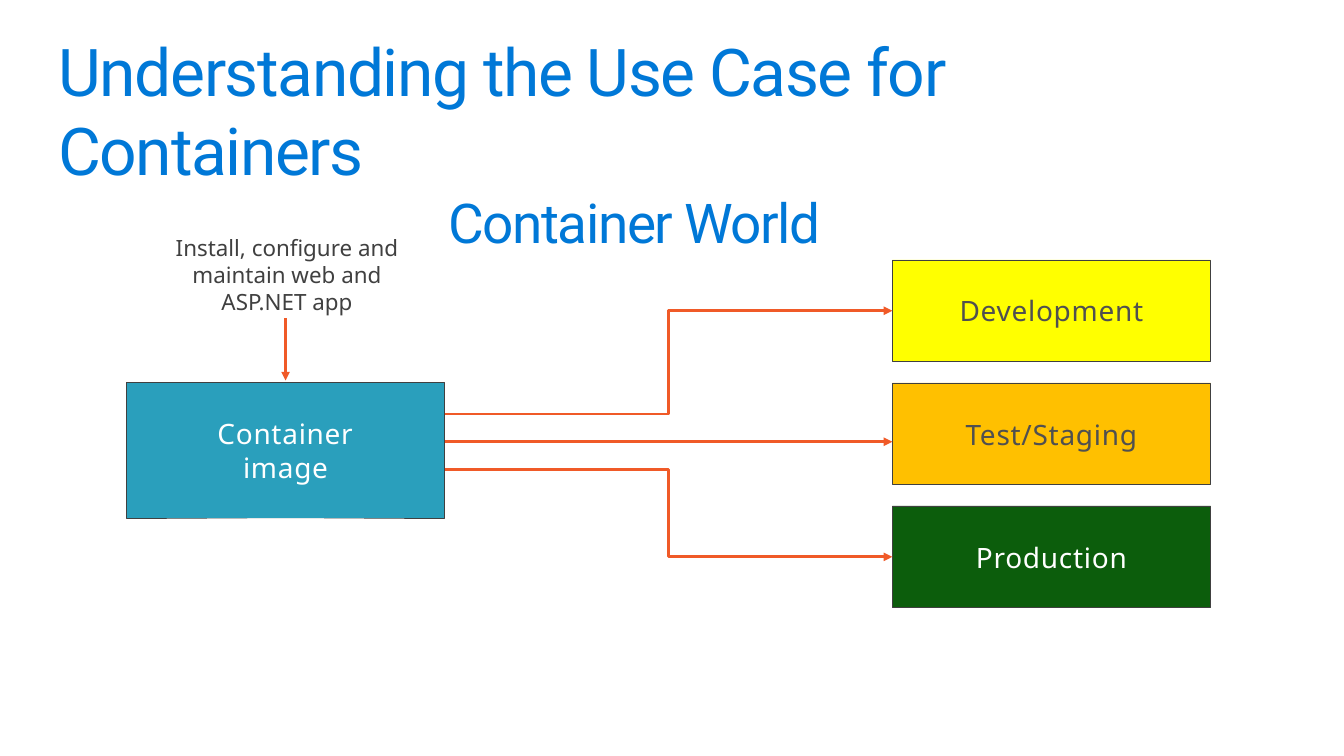
"""Build the container use case slide."""
from dataclasses import dataclass

from lxml.etree import SubElement
from pptx import Presentation
from pptx.dml.color import RGBColor
from pptx.enum.shapes import MSO_CONNECTOR as Connector, MSO_SHAPE as Shape
from pptx.enum.text import MSO_ANCHOR as Anchor, MSO_AUTO_SIZE as AutoSize, PP_ALIGN as Align
from pptx.oxml.ns import qn
from pptx.util import Inches, Pt


@dataclass(frozen=True)
class Theme:
    heading_font: str = "Roboto"
    body_font: str = "Noto Sans"
    heading: str = "0078D7"
    arrow: str = "F05A28"
    outline: str = "404040"
    dark: str = "505050"
    light: str = "FFFFFF"
    image_fill: str = "2A9FBC"
    title_size: float = 48
    subtitle_size: float = 40
    label_size: float = 20.4
    callout_size: float = 16.3


THEME = Theme()
TITLE = "Understanding the Use Case for Containers"
SUBTITLE = "Container World"
CALLOUT = "Install, configure and maintain web and ASP.NET app"
IMAGE_LABEL = "Container image"
ENVIRONMENTS = [
    ("Development", "FFFF00", THEME.dark),
    ("Test/Staging", "FFC000", THEME.dark),
    ("Production", "0C5D0C", THEME.light),
]

BOX_WIDTH = 3.22
IMAGE_LEFT, IMAGE_TOP, IMAGE_HEIGHT = 1.28, 3.87, 1.37
STAGE_LEFT, STAGE_TOP, STAGE_HEIGHT, STAGE_STEP = 9.03, 2.63, 1.03, 1.245
IMAGE_RIGHT = IMAGE_LEFT + BOX_WIDTH
ARROW_MIDDLE, ARROW_GAP = 4.47, 0.28


def write(frame, text, size, color, font=THEME.body_font, align=Align.CENTER,
          anchor=Anchor.MIDDLE, spacing=0, margin=0, append=False):
    """Write one formatted paragraph in a text frame."""
    frame.word_wrap = True
    frame.auto_size = AutoSize.NONE
    frame.vertical_anchor = anchor
    frame.margin_left = frame.margin_right = Inches(margin)
    frame.margin_top = frame.margin_bottom = 0
    paragraph = frame.add_paragraph() if append else frame.paragraphs[0]
    paragraph.alignment = align
    paragraph.space_before = Pt(0)
    run = paragraph.add_run()
    run.text = text
    run.font.name = font
    run.font.size = Pt(size)
    run.font.color.rgb = RGBColor.from_string(color)
    run.font._element.set("spc", str(round(spacing * 100)))


def add_box(slide, text, left, top, height, fill, color, margin=0):
    """Add an outlined box with a centred label."""
    shape = slide.shapes.add_shape(
        Shape.RECTANGLE, Inches(left), Inches(top), Inches(BOX_WIDTH), Inches(height))
    shape.shadow.inherit = False
    shape.fill.solid()
    shape.fill.fore_color.rgb = RGBColor.from_string(fill)
    shape.line.color.rgb = RGBColor.from_string(THEME.outline)
    shape.line.width = Pt(0.33)
    write(shape.text_frame, text, THEME.label_size, color, spacing=0.55, margin=margin)


def add_arrow(slide, start, end, kind=Connector.STRAIGHT):
    """Add a connector with an arrowhead at its end."""
    connector = slide.shapes.add_connector(kind, *map(Inches, start + end))
    connector.line.color.rgb = RGBColor.from_string(THEME.arrow)
    connector.line.width = Pt(2.1)
    SubElement(connector.line._get_or_add_ln(), qn("a:tailEnd"), type="triangle")
    SubElement(connector._element.spPr, qn("a:effectLst"))


def add_headings(slide):
    """Fill the title placeholder with the title and subtitle."""
    title = slide.shapes.title
    title.left, title.top = Inches(0.59), Inches(0.31)
    title.width, title.height = Inches(11.66), Inches(1.48)
    style = dict(color=THEME.heading, font=THEME.heading_font, anchor=Anchor.TOP, spacing=-1)
    write(title.text_frame, TITLE, THEME.title_size, align=Align.LEFT, **style)
    write(title.text_frame, SUBTITLE, THEME.subtitle_size, append=True, **style)


def add_source(slide):
    """Add the container image box and its callout."""
    add_box(slide, IMAGE_LABEL, IMAGE_LEFT, IMAGE_TOP, IMAGE_HEIGHT,
            THEME.image_fill, THEME.light, margin=0.8)
    callout = slide.shapes.add_textbox(Inches(1.74), Inches(2.37), Inches(2.33), Inches(0.84))
    write(callout.text_frame, CALLOUT, THEME.callout_size, THEME.outline, anchor=Anchor.TOP)
    center = IMAGE_LEFT + BOX_WIDTH / 2
    add_arrow(slide, (center, 3.22), (center, 3.85))


def add_environments(slide):
    """Add each environment box with its arrow from the image."""
    for index, (name, fill, color) in enumerate(ENVIRONMENTS):
        top = STAGE_TOP + index * STAGE_STEP
        add_box(slide, name, STAGE_LEFT, top, STAGE_HEIGHT, fill, color)
        offset = index - 1
        start_y = ARROW_MIDDLE + offset * ARROW_GAP
        end_y = top + STAGE_HEIGHT / 2 if offset else start_y
        kind = Connector.ELBOW if offset else Connector.STRAIGHT
        add_arrow(slide, (IMAGE_RIGHT, start_y), (STAGE_LEFT, end_y), kind)


def main():
    """Create and save the presentation."""
    presentation = Presentation()
    presentation.slide_width, presentation.slide_height = Inches(13.6), Inches(7.65)
    slide = presentation.slides.add_slide(presentation.slide_layouts.get_by_name("Title Only"))
    add_headings(slide)
    add_source(slide)
    add_environments(slide)
    presentation.save("out.pptx")


if __name__ == "__main__":
    main()
